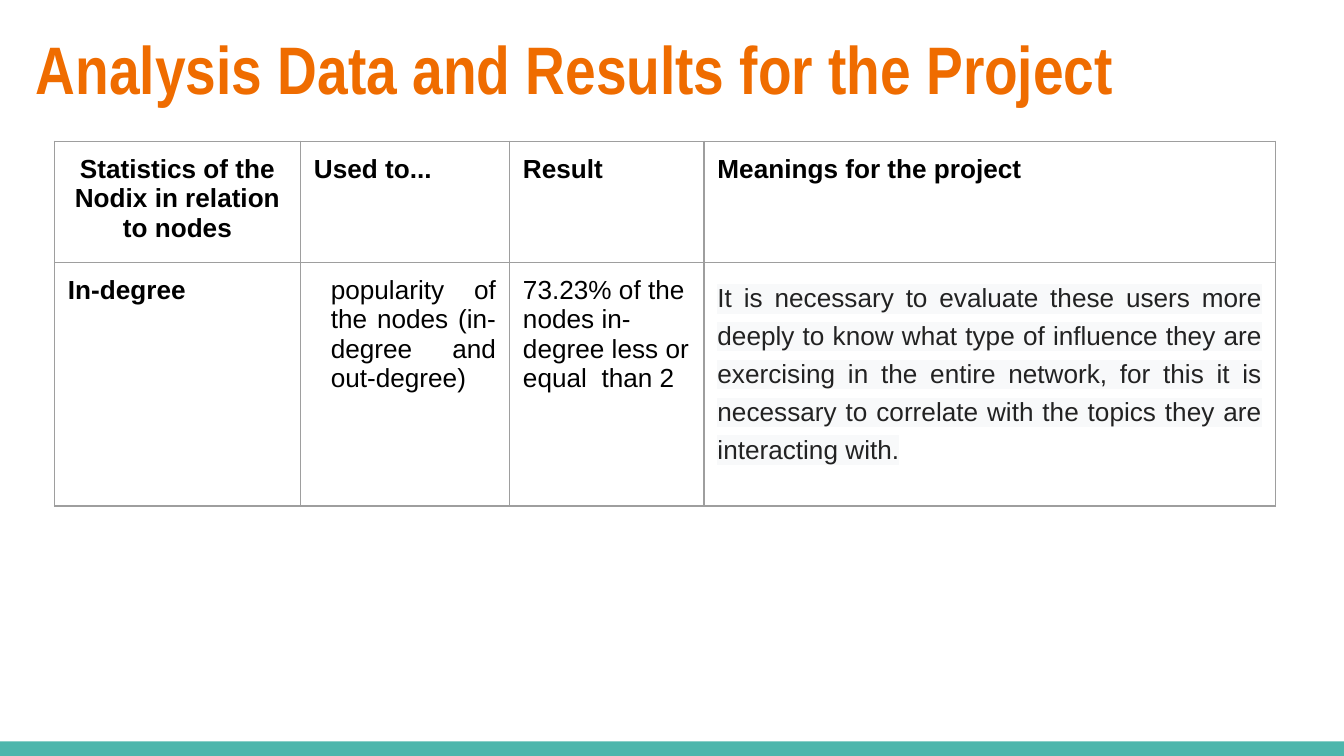
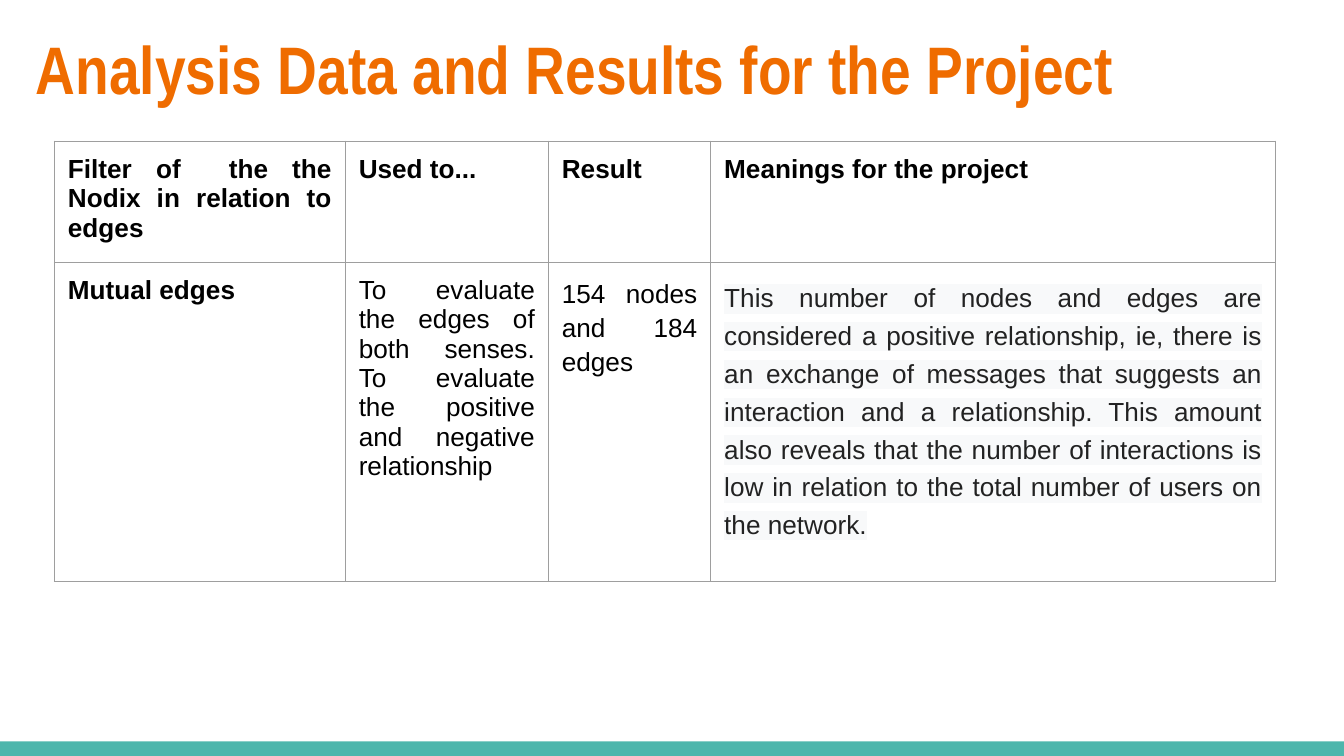
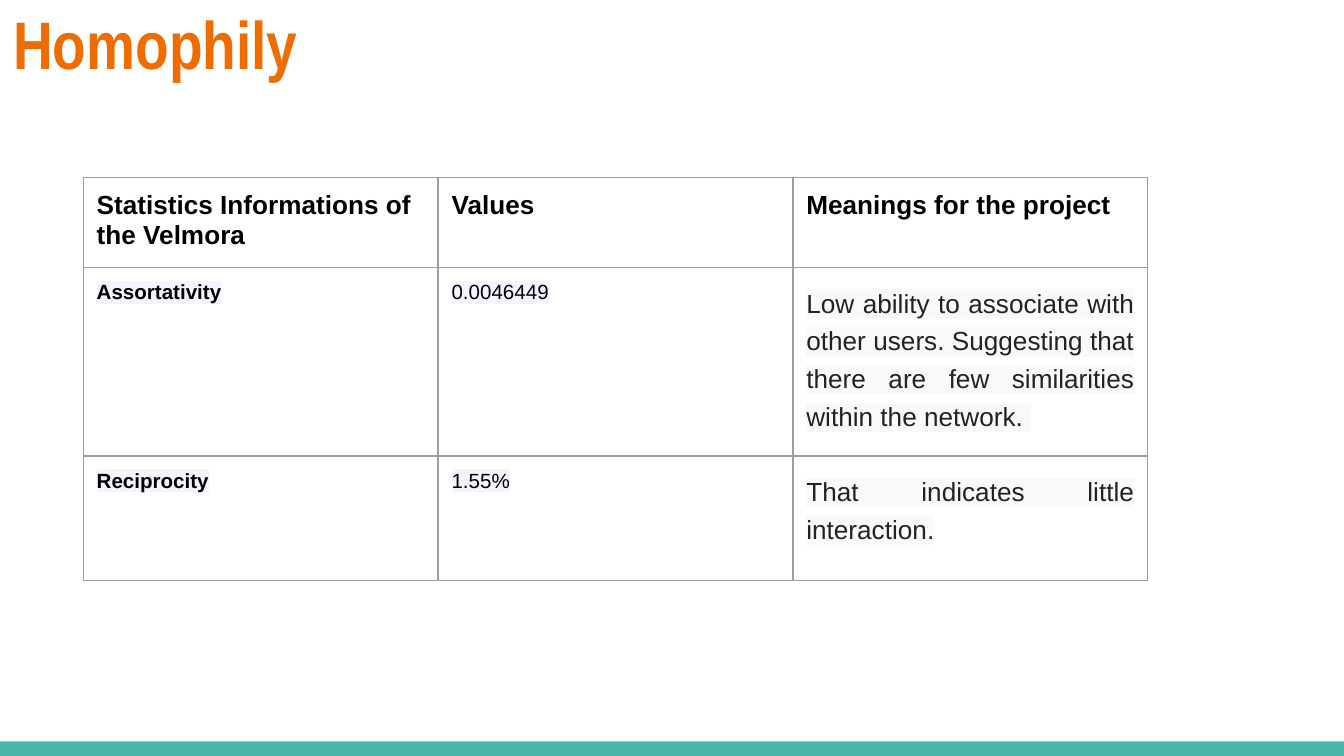
import dataclasses

import pptx
import pptx.dml.color
import pptx.enum.shapes
import pptx.enum.text
import pptx.oxml
import pptx.oxml.ns
import pptx.util

Pt = pptx.util.Pt
Align = pptx.enum.text.PP_ALIGN


@dataclasses.dataclass(frozen=True)
class Theme:
    """Colours, fonts and sizes shared by every slide."""

    title: str = "EF6C00"
    band: str = "4DB6AC"
    border: str = "9E9E9E"
    ink: str = "000000"
    meaning_ink: str = "222222"
    meaning_mark: str = "F8F9FA"
    statistic_mark: str = "F4F4FF"
    title_font: str = "Arial Narrow"
    body_font: str = "Arial"
    title_size: float = 36
    body_size: float = 14
    small_size: float = 11
    border_width: float = 0.75
    inset: float = 7.2
    page_width: float = 720
    page_height: float = 405
    band_height: float = 7.8


THEME = Theme()


@dataclasses.dataclass(frozen=True)
class Entry:
    """Wording and style of one table cell."""

    text: str
    bold: bool = False
    align: Align = Align.LEFT
    size: float = THEME.body_size
    ink: str = THEME.ink
    mark: str = ""
    line_spacing: float = 0
    indent: float = 0


def heading(text, align=Align.LEFT):
    """Return a bold entry."""
    return Entry(text, bold=True, align=align)


def meaning(text):
    """Return a justified, highlighted explanation."""
    return Entry(text, align=Align.JUSTIFY, ink=THEME.meaning_ink,
                 mark=THEME.meaning_mark, line_spacing=1.29)


def statistic(text, bold=False):
    """Return a small highlighted entry."""
    return Entry(text, bold=bold, size=THEME.small_size, mark=THEME.statistic_mark)


def rgb(colour):
    """Turn a hex colour into an RGBColor."""
    return pptx.dml.color.RGBColor.from_string(colour)


def drawing_xml(body):
    """Build a DrawingML element from markup with an open root tag."""
    tag, rest = body.split(" ", 1)
    return pptx.oxml.parse_xml(f"<{tag} {pptx.oxml.ns.nsdecls('a')} {rest}")


def style_span(span, font, size, colour, bold):
    """Set the font of a run."""
    span.font.name = font
    span.font.size = Pt(size)
    span.font.bold = bold
    span.font.color.rgb = rgb(colour)


def highlight(span, colour):
    """Mark a run with a background colour."""
    mark = drawing_xml(f'<a:highlight ><a:srgbClr val="{colour}"/></a:highlight>'[1:])
    span.font._element.find(pptx.oxml.ns.qn("a:latin")).addprevious(mark)


def set_insets(holder):
    """Give a cell or text frame equal margins."""
    for side in ("left", "right", "top", "bottom"):
        setattr(holder, f"margin_{side}", Pt(THEME.inset))


def draw_borders(cell):
    """Draw a thin line on all four sides of a cell."""
    properties = cell._tc.get_or_add_tcPr()
    for place, side in enumerate("LRTB"):
        line = drawing_xml(
            f'a:ln{side} w="{Pt(THEME.border_width)}"><a:solidFill>'
            f'<a:srgbClr val="{THEME.border}"/></a:solidFill></a:ln{side}>')
        properties.insert(place, line)


def fill_cell(cell, entry):
    """Write and style one table cell."""
    cell.fill.background()
    set_insets(cell)
    draw_borders(cell)
    para = cell.text_frame.paragraphs[0]
    para.text = entry.text
    para.alignment = entry.align
    if entry.line_spacing:
        para.line_spacing = entry.line_spacing
    if entry.indent:
        properties = para._p.get_or_add_pPr()
        properties.set("marL", str(Pt(entry.indent)))
        properties.set("indent", "0")
    span = para.runs[0]
    style_span(span, THEME.body_font, entry.size, entry.ink, entry.bold)
    if entry.mark:
        highlight(span, entry.mark)


def add_band(page):
    """Draw the band along the bottom edge."""
    band = page.shapes.add_shape(
        pptx.enum.shapes.MSO_SHAPE.RECTANGLE, 0,
        Pt(THEME.page_height - THEME.band_height),
        Pt(THEME.page_width), Pt(THEME.band_height))
    band.shadow.inherit = False
    band.fill.solid()
    band.fill.fore_color.rgb = rgb(THEME.band)
    band.line.fill.background()


def add_title(page, text, box):
    """Write the slide title in a box of left, top, width, height."""
    frame = page.shapes.add_textbox(*map(Pt, box)).text_frame
    frame.word_wrap = True
    set_insets(frame)
    frame.text = text
    style_span(frame.paragraphs[0].runs[0], THEME.title_font,
               THEME.title_size, THEME.title, True)


def add_grid(page, corner, widths, heights, rows):
    """Place a bordered table with its top left at the corner."""
    left, top = corner
    table = page.shapes.add_table(
        len(heights), len(widths), Pt(left), Pt(top),
        Pt(sum(widths)), Pt(sum(heights))).table
    table.first_row = table.horz_banding = False
    for column, width in zip(table.columns, widths):
        column.width = Pt(width)
    for line, height in zip(table.rows, heights):
        line.height = Pt(height)
    for cell, entry in zip(table.iter_cells(), sum(rows, [])):
        fill_cell(cell, entry)


def add_page(deck, title, title_box, corner, widths, heights, rows):
    """Build a slide with band, title and table."""
    page = deck.slides.add_slide(deck.slide_layouts[6])
    add_band(page)
    add_title(page, title, title_box)
    add_grid(page, corner, widths, heights, rows)


def add_analysis_page(deck, widths, result_height, rows):
    """Build a slide of analysis results."""
    add_page(deck, "Analysis Data and Results for the Project",
             (12.2, 7.2, 671, 55.4), (29.2, 75.6), widths, (61.6, result_height), rows)


def add_homophily_page(deck, rows):
    """Build the slide of homophily statistics."""
    add_page(deck, "Homophily", (0, -5.8, 437, 63.4), (44.6, 95.2),
             [190.1] * 3, (45.7, 95, 66.7), rows)


def main():
    """Build and save the deck."""
    deck = pptx.Presentation()
    deck.slide_width = Pt(THEME.page_width)
    deck.slide_height = Pt(THEME.page_height)
    add_analysis_page(deck, (131.8, 112, 104.2, 306.2), 130.7, [
        [heading("Statistics of the Nodix in relation to nodes", Align.CENTER),
         heading("Used to..."), heading("Result"),
         heading("Meanings for the project")],
        [heading("In-degree", Align.JUSTIFY),
         Entry("popularity of the nodes (in-degree and out-degree)",
               align=Align.JUSTIFY, indent=9),
         Entry("73.23% of the nodes in-degree less or equal  than 2"),
         meaning("It is necessary to evaluate these users more deeply to know "
                 "what type of influence they are exercising in the entire "
                 "network, for this it is necessary to correlate with the "
                 "topics they are interacting with.")],
    ])
    add_analysis_page(deck, (155.8, 108.8, 87, 302.6), 170.9, [
        [heading("Filter of  the the Nodix in relation to edges", Align.JUSTIFY),
         heading("Used to..."), heading("Result"),
         heading("Meanings for the project", Align.JUSTIFY)],
        [heading("Mutual edges", Align.JUSTIFY),
         Entry("To evaluate the edges of both senses. To evaluate the positive "
               "and negative relationship", align=Align.JUSTIFY),
         Entry("154 nodes and 184 edges", align=Align.JUSTIFY, line_spacing=1.15),
         meaning("This number of nodes and edges are considered a positive "
                 "relationship, ie, there is an exchange of messages that "
                 "suggests an interaction and a relationship. This amount also "
                 "reveals that the number of interactions is low in relation to "
                 "the total number of users on the network.")],
    ])
    add_homophily_page(deck, [
        [heading("Statistics Informations of the Velmora"), heading("Values"),
         heading("Meanings for the project")],
        [statistic("Assortativity", bold=True), statistic("0.0046449"),
         meaning("Low ability to associate with other users. Suggesting that "
                 "there are few similarities within the network. ")],
        [statistic("Reciprocity", bold=True), statistic("1.55%"),
         meaning("That indicates little interaction.")],
    ])
    deck.save("out.pptx")


if __name__ == "__main__":
    main()
